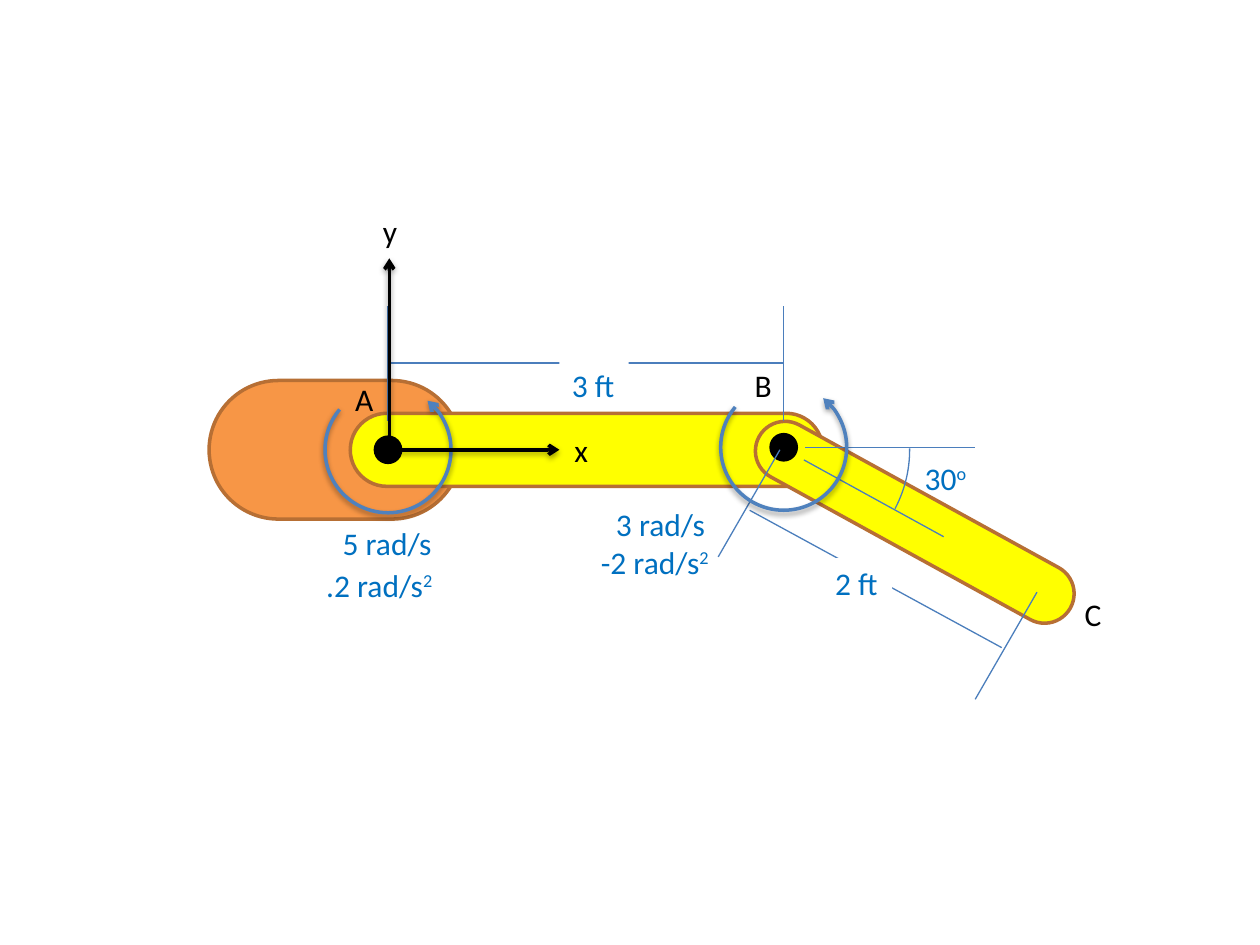
import pptx
import pptx.util
import pptx.dml.color
import pptx.enum.shapes
import pptx.enum.text
import pptx.oxml
import pptx.oxml.ns

PX = 9144
KIND = pptx.enum.shapes.MSO_SHAPE
BLUE, EDGE, SPIN = "4B7EBC", "B76F34", "4F81BD"
INK, NOTE = "000000", "0070C0"

BARS = [
    (166, 302, 200, 110, 0, "F79646", EDGE),
    (278, 328, 375, 58, 0, "FFFF00", EDGE),
    (585, 391, 282, 47, 28.8, "FFFF00", EDGE),
    (298, 347, 20, 20, 0, INK, INK),
    (612, 345, 20, 20, 0, INK, INK),
]
GUIDES = [
    (308, 334, 308, 243), (622, 334, 622, 243),
    (570, 442, 619, 357), (774, 555, 823, 470),
    (595, 405, 795, 514), (308, 288, 622, 288),
    (639, 355, 774, 355), (638, 365, 749, 426),
]
AXES = [(309, 357, 444, 357), (309, 359, 309, 205)]
ANGLE = (622, 357, 100, (215.63, 16.72))
SPINS = [(308, 357), (622, 355)]
TURN = (192.12, 138.69)

LABELS = [
    ("5 rad/s", "", 262, 411, 92, {}),
    ("3 rad/s", "", 479, 396, 92, {}),
    ("2 ft", "", 653, 443, 55, {"fill": "FFFFFF"}),
    ("3 ft", "", 444, 286, 55, {"fill": "FFFFFF"}),
    ("30", "o", 724, 359, 55, {}),
    (".2 rad/s", "2", 249, 444, 111, {}),
    ("-2 rad/s", "2", 467, 426, 108, {}),
    ("A", "", 272, 297, 35, {"color": INK}),
    ("B", "", 589, 286, 34, {"color": INK}),
    ("C", "", 851, 467, 34, {"color": INK}),
    ("y", "", 294, 163, 60, {"color": INK, "wrap": True}),
    ("x", "", 446, 337, 59, {"color": INK, "wrap": True}),
]

deck = pptx.Presentation()
deck.slide_width, deck.slide_height = 1000 * PX, 750 * PX
slide = deck.slides.add_slide(deck.slide_layouts[6])
shapes = slide.shapes


def rgb(code):
    return pptx.dml.color.RGBColor.from_string(code)


def node(tag, body=""):
    space = pptx.oxml.ns.nsdecls("a")
    return pptx.oxml.parse_xml(f"<a:{tag} {space}>{body}</a:{tag.split()[0]}>")


def stroke(shape, color, width, arrow=False):
    shape.line.color.rgb = rgb(color)
    shape.line.width = pptx.util.Pt(width)
    props = shape.element.spPr
    glow = ""
    if arrow:
        props.find(pptx.oxml.ns.qn("a:ln")).append(node('tailEnd type="arrow"'))
        glow = (
            '<a:outerShdw blurRad="40000" dist="20000" dir="5400000" rotWithShape="0">'
            '<a:srgbClr val="000000"><a:alpha val="38000"/></a:srgbClr></a:outerShdw>'
        )
    props.append(node("effectLst", glow))


def bar(x, y, w, h, turn, fill, edge):
    shape = shapes.add_shape(KIND.ROUNDED_RECTANGLE, x * PX, y * PX, w * PX, h * PX)
    shape.adjustments[0] = 0.5
    shape.rotation = turn
    shape.fill.solid()
    shape.fill.fore_color.rgb = rgb(fill)
    stroke(shape, edge, 2)


def rule(ends, color, width, arrow=False):
    straight = pptx.enum.shapes.MSO_CONNECTOR.STRAIGHT
    line = shapes.add_connector(straight, *[n * PX for n in ends])
    stroke(line, color, width, arrow)


def arc(x, y, r, sweep, color, width, spin=False):
    side = 2 * r * PX
    shape = shapes.add_shape(KIND.ARC, (x - r) * PX, (y - r) * PX, side, side)
    shape.adjustments[0], shape.adjustments[1] = sweep
    shape.fill.background()
    if spin:
        shape.element.spPr.xfrm.set("flipH", "1")
    stroke(shape, color, width, spin)


def text(words, power, x, y, w, color=NOTE, fill=None, wrap=False):
    box = shapes.add_textbox(x * PX, y * PX, w * PX, 40 * PX)
    if fill:
        box.fill.solid()
        box.fill.fore_color.rgb = rgb(fill)
    frame = box.text_frame
    frame.word_wrap = wrap
    frame.auto_size = pptx.enum.text.MSO_AUTO_SIZE.SHAPE_TO_FIT_TEXT
    for part, base in ((words, 0), (power, 30000)):
        if part:
            run = frame.paragraphs[0].add_run()
            run.text = part
            run.font.name = "Calibri"
            run.font.size = pptx.util.Pt(18)
            run.font.color.rgb = rgb(color)
            if base:
                run.font._element.set("baseline", str(base))


for item in BARS:
    bar(*item)
for ends in GUIDES:
    rule(ends, BLUE, 0.75)
arc(*ANGLE, BLUE, 0.75)
for x, y in SPINS:
    arc(x, y, 50, TURN, SPIN, 2, spin=True)
for *item, style in LABELS:
    text(*item, **style)
for ends in AXES:
    rule(ends, INK, 2, arrow=True)

deck.save("out.pptx")
